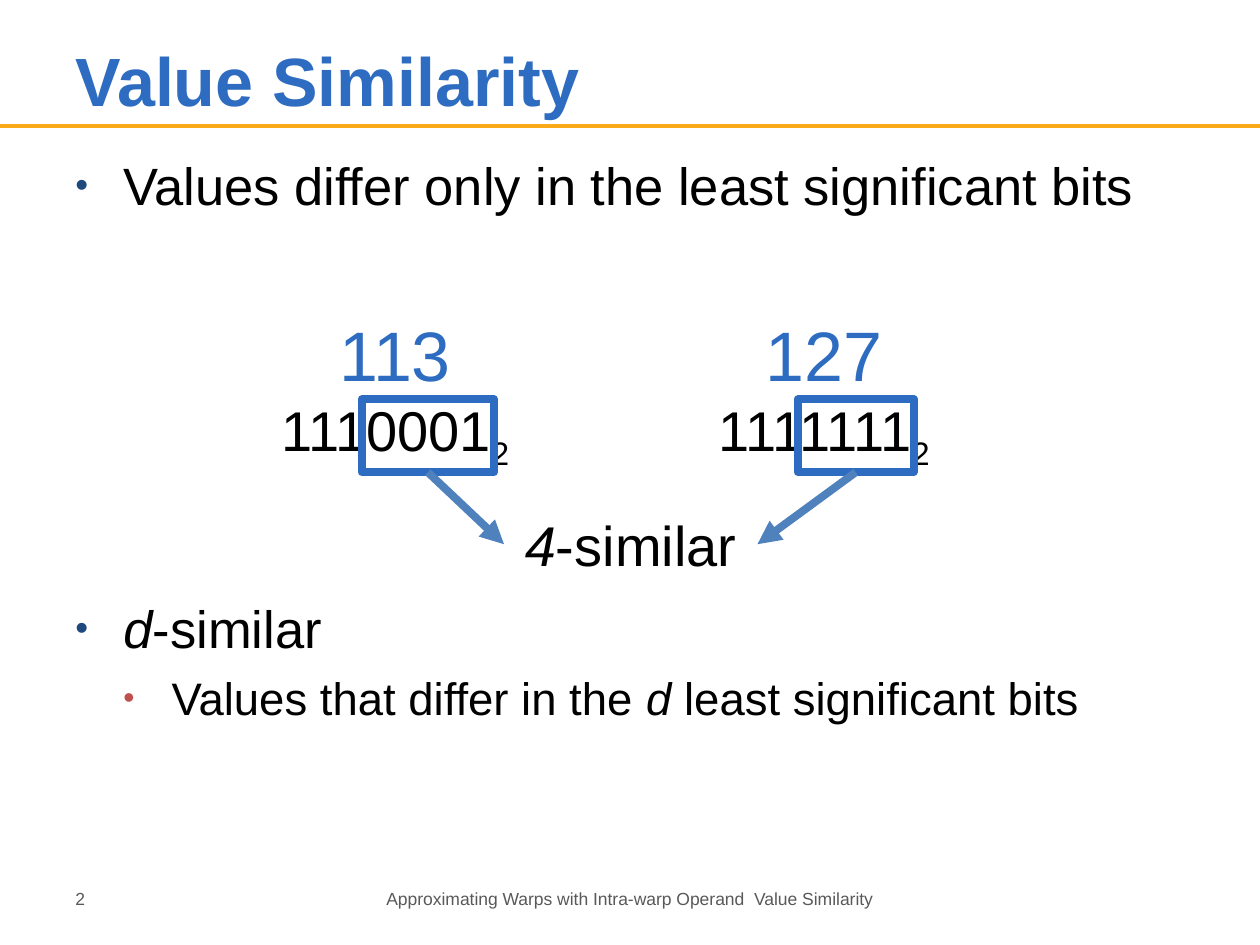
from lxml import etree
from pptx import Presentation
from pptx.dml.color import RGBColor
from pptx.enum.shapes import MSO_CONNECTOR, MSO_SHAPE
from pptx.enum.text import MSO_ANCHOR, PP_ALIGN
from pptx.oxml.ns import qn
from pptx.util import Cm, Pt

LEFT, CENTER = PP_ALIGN.LEFT, PP_ALIGN.CENTER
TOP, BOTTOM = MSO_ANCHOR.TOP, MSO_ANCHOR.BOTTOM
STRAIGHT, RECTANGLE = MSO_CONNECTOR.STRAIGHT, MSO_SHAPE.RECTANGLE

FONT = "Arial"
BLUE, BLACK, GRAY = "2D6CC0", "000000", "595959"
ORANGE, ARROW_BLUE = "FAA919", "4F81BD"
NAVY, RED = "1F497D", "C0504D"
MARGIN, CONTENT_WIDTH = 1.27, 22.86
INDENT = 0.97
FOOTER_TOP, FOOTER_HEIGHT = 17.78, 0.84
BITS_TOP, BITS_HEIGHT = 8.05, 1.47
ARROW_END = 10.97


def rgb(color):
    return RGBColor.from_string(color)


def add_run(paragraph, text, size=30, color=BLACK, bold=False, italic=False, baseline=None):
    run = paragraph.add_run()
    run.text = text
    font = run.font
    font.name, font.size, font.bold, font.italic = FONT, Pt(size), bold, italic
    font.color.rgb = rgb(color)
    if baseline is not None:
        font._element.set("baseline", str(baseline))


def add_box(slide, left, top, width, height, align=LEFT, anchor=TOP, wrap=True):
    box = slide.shapes.add_textbox(Cm(left), Cm(top), Cm(width), Cm(height))
    frame = box.text_frame
    frame.word_wrap = wrap
    frame.vertical_anchor = anchor
    paragraph = frame.paragraphs[0]
    paragraph.alignment = align
    return frame


def add_label(slide, text, left, top, width, height, align=LEFT, anchor=TOP, **style):
    frame = add_box(slide, left, top, width, height, align, anchor)
    add_run(frame.paragraphs[0], text, **style)


def set_bullet(paragraph, level, color):
    properties = paragraph._p.get_or_add_pPr()
    properties.set("marL", str(Cm(INDENT * (level + 1))))
    properties.set("indent", str(-Cm(INDENT)))
    bullet_color = etree.SubElement(properties, qn("a:buClr"))
    etree.SubElement(bullet_color, qn("a:srgbClr"), val=color)
    etree.SubElement(properties, qn("a:buSzPct"), val="70000")
    etree.SubElement(properties, qn("a:buFont"), typeface=FONT)
    etree.SubElement(properties, qn("a:buChar"), char="•")
    paragraph.level = level


def add_bullets(slide, bullets):
    frame = add_box(slide, MARGIN, 2.97, CONTENT_WIDTH, 14.4)
    for index, (level, color, size, space_before, parts) in enumerate(bullets):
        paragraph = frame.add_paragraph() if index else frame.paragraphs[0]
        set_bullet(paragraph, level, color)
        if space_before:
            paragraph.space_before = Pt(space_before)
        for text, italic in parts:
            add_run(paragraph, text, size=size, italic=italic)


def add_line(slide, start, end, color, width, arrow=False):
    line = slide.shapes.add_connector(STRAIGHT, *map(Cm, start + end))
    line.line.color.rgb = rgb(color)
    line.line.width = Pt(width)
    if arrow:
        etree.SubElement(line.line._get_or_add_ln(), qn("a:tailEnd"), type="triangle")
    etree.SubElement(line._element.spPr, qn("a:effectLst"))


def add_value(slide, decimal, binary, left, width):
    frame = add_box(slide, left, 6.15, width, 3.33, CENTER, wrap=False)
    paragraph = frame.paragraphs[0]
    add_run(paragraph, decimal, size=40, color=BLUE)
    paragraph.add_line_break()
    add_run(paragraph, binary, size=32)
    add_run(paragraph, "2", size=32, baseline=-25000)


def add_bit_frame(slide, left, width, arrow_tip):
    bits = slide.shapes.add_shape(
        RECTANGLE, Cm(left), Cm(BITS_TOP), Cm(width), Cm(BITS_HEIGHT))
    bits.shadow.inherit = False
    bits.fill.background()
    bits.line.color.rgb = rgb(BLUE)
    bits.line.width = Pt(4.5)
    arrow_start = (left + width / 2, BITS_TOP + BITS_HEIGHT)
    add_line(slide, arrow_start, (arrow_tip, ARROW_END), ARROW_BLUE, 4.5, arrow=True)


def main():
    deck = Presentation()
    deck.slide_width, deck.slide_height = Cm(25.4), Cm(19.05)
    slide = deck.slides.add_slide(deck.slide_layouts[6])

    add_line(slide, (0, 2.54), (25.4, 2.54), ORANGE, 2.25)
    add_label(slide, "Value Similarity", MARGIN, 0.43, CONTENT_WIDTH, 2.11,
              anchor=BOTTOM, size=39, color=BLUE, bold=True)
    add_bullets(slide, [
        (0, NAVY, 30, 0, [("Values differ only in the least significant bits", False)]),
        (0, NAVY, 30, 217, [("d", True), ("-similar", False)]),
        (1, RED, 26, 6, [("Values that differ in the ", False), ("d", True),
                         (" least significant bits", False)]),
    ])
    add_label(slide, "Approximating Warps with Intra-warp Operand  Value Similarity",
              7.19, FOOTER_TOP, 11, FOOTER_HEIGHT, align=CENTER, size=10, color=GRAY)
    add_label(slide, "2", MARGIN, FOOTER_TOP, 4.65, FOOTER_HEIGHT, size=10, color=GRAY)

    add_value(slide, "113", "1110001", 5.36, 5.21)
    add_value(slide, "127", "1111111", 14.17, 4.88)
    add_bit_frame(slide, 7.29, 2.67, 10.16)
    add_bit_frame(slide, 16.08, 2.34, 15.27)

    similarity = add_box(slide, 10.16, 10.16, 5.11, 1.63, CENTER, wrap=False).paragraphs[0]
    add_run(similarity, "4", size=32, italic=True)
    add_run(similarity, "-similar", size=32)

    deck.save("out.pptx")


if __name__ == "__main__":
    main()
